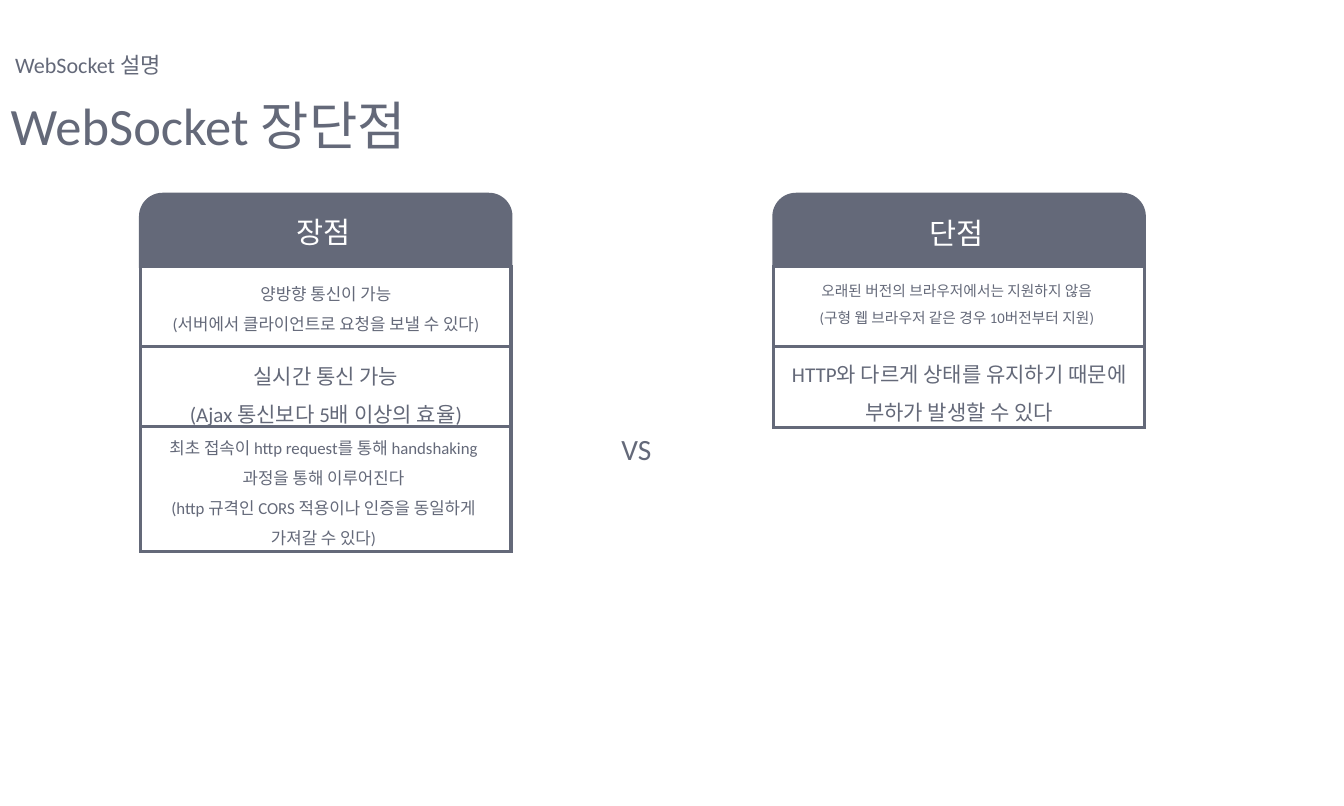
"""Build the slide that compares the strengths and weaknesses of WebSocket."""
from dataclasses import dataclass

import lxml.etree
import pptx
import pptx.dml.color
import pptx.enum.shapes
import pptx.enum.text
import pptx.oxml.ns
import pptx.shapes.base
import pptx.slide
import pptx.util

Cm = pptx.util.Cm
Pt = pptx.util.Pt
PP_ALIGN = pptx.enum.text.PP_ALIGN

SLATE = pptx.dml.color.RGBColor(0x64, 0x69, 0x79)
WHITE = pptx.dml.color.RGBColor(0xFF, 0xFF, 0xFF)

CARD_TOP, CARD_WIDTH, HEADER_HEIGHT = 6.48, 12.55, 3.3
ROW_TOP, ROW_PITCH, ROW_INSET = 8.97, 2.69, 0.05
TEXT_WIDTH = 11.84

FRAME_FORMAT = {
    "margin_left": 0,
    "margin_top": 0,
    "margin_right": 0,
    "margin_bottom": 0,
    "word_wrap": True,
    "vertical_anchor": pptx.enum.text.MSO_ANCHOR.TOP,
    "auto_size": pptx.enum.text.MSO_AUTO_SIZE.SHAPE_TO_FIT_TEXT,
}


@dataclass(frozen=True)
class Box:
    left: float
    top: float
    width: float
    height: float


@dataclass(frozen=True)
class Row:
    lines: tuple[str, ...]
    size: int
    text_inset: float
    text_drop: float
    text_height: float
    height: float = 2.72


@dataclass(frozen=True)
class Card:
    heading: str
    left: float
    heading_top: float
    rows: tuple[Row, ...]


CARDS = (
    Card("장점", 4.67, 6.6, (
        Row(("양방향 통신이 가능", "(서버에서 클라이언트로 요청을 보낼 수 있다)"),
            16, 0.36, 0.22, 1.93),
        Row(("실시간 통신 가능", "(Ajax 통신보다 5배 이상의 효율)"),
            20, 0.36, 0.13, 2.41),
        Row(("최초 접속이 http request를 통해 handshaking과정을 통해 이루어진다",
             "(http 규격인 CORS 적용이나 인증을 동일하게 가져갈 수 있다)"),
            16, 0.28, 0.01, 3.99, 4.19),
    )),
    Card("단점", 25.95, 6.63, (
        Row(("오래된 버전의 브라우저에서는 지원하지 않음",
             "(구형 웹 브라우저 같은 경우 10버전부터 지원)"),
            14, 0.28, 0.22, 1.7),
        Row(("HTTP와 다르게 상태를 유지하기 때문에 부하가 발생할 수 있다",),
            20, 0.36, 0.08, 2.41),
    )),
)


def set_attributes(target: object, values: dict[str, object]) -> None:
    for name, value in values.items():
        setattr(target, name, value)


def write_text(
    holder: pptx.shapes.base.BaseShape,
    lines: tuple[str, ...],
    size: int,
    color: pptx.dml.color.RGBColor = SLATE,
    alignment: PP_ALIGN = PP_ALIGN.CENTER,
    line_spacing: float = 1.5,
) -> None:
    frame = holder.text_frame
    frame.text = "\n".join(lines)
    set_attributes(frame, FRAME_FORMAT)
    for paragraph in frame.paragraphs:
        set_attributes(paragraph, {"alignment": alignment, "line_spacing": line_spacing})
        for run in paragraph.runs:
            set_attributes(run.font, {"name": "Calibri", "size": Pt(size)})
            run.font.color.rgb = color


def add_label(slide: pptx.slide.Slide, box: Box) -> pptx.shapes.base.BaseShape:
    return slide.shapes.add_textbox(
        Cm(box.left), Cm(box.top), Cm(box.width), Cm(box.height))


def add_panel(
    slide: pptx.slide.Slide,
    box: Box,
    fill: pptx.dml.color.RGBColor,
    rounding: float,
    outlined: bool,
) -> None:
    panel = slide.shapes.add_shape(
        pptx.enum.shapes.MSO_SHAPE.ROUNDED_RECTANGLE,
        Cm(box.left), Cm(box.top), Cm(box.width), Cm(box.height))
    panel.adjustments[0] = rounding
    panel.shadow.inherit = False
    panel.fill.solid()
    panel.fill.fore_color.rgb = fill
    if outlined:
        panel.line.color.rgb = SLATE
        panel.line.width = Pt(3)
        outline = panel.element.spPr.find(pptx.oxml.ns.qn("a:ln"))
        lxml.etree.SubElement(outline, pptx.oxml.ns.qn("a:miter"), lim="400000")
    else:
        panel.line.fill.background()


def add_card(slide: pptx.slide.Slide, card: Card) -> None:
    header = Box(card.left, CARD_TOP, CARD_WIDTH, HEADER_HEIGHT)
    add_panel(slide, header, SLATE, 0.24, False)
    heading = add_label(slide, Box(card.left + 0.28, card.heading_top, TEXT_WIDTH, 1.6))
    write_text(heading, (card.heading,), 28, WHITE)
    for index, row in enumerate(card.rows):
        top = ROW_TOP + index * ROW_PITCH
        cell = Box(card.left + ROW_INSET, top, CARD_WIDTH - 2 * ROW_INSET, row.height)
        add_panel(slide, cell, WHITE, 0, True)
        point = add_label(slide, Box(
            card.left + row.text_inset, top + row.text_drop, TEXT_WIDTH, row.text_height))
        write_text(point, row.lines, row.size)


def main() -> None:
    deck = pptx.Presentation()
    set_attributes(deck, {"slide_width": Pt(1280), "slide_height": Pt(768)})
    slide = deck.slides.add_slide(deck.slide_layouts[5])

    title = slide.shapes.title
    set_attributes(title, {
        "left": Cm(0.36), "top": Cm(2.69), "width": Cm(43.94), "height": Cm(2.39)})
    write_text(title, ("WebSocket 장단점",), 50, SLATE, PP_ALIGN.LEFT, 1.2)

    topic = add_label(slide, Box(0.51, 1.55, 11.23, 1.02))
    write_text(topic, ("WebSocket 설명",), 21, SLATE, PP_ALIGN.LEFT, 1.2)

    for card in CARDS:
        add_card(slide, card)

    versus = add_label(slide, Box(19.63, 13.89, 3.51, 1.3))
    write_text(versus, ("VS",), 28)

    deck.save("out.pptx")


if __name__ == "__main__":
    main()
